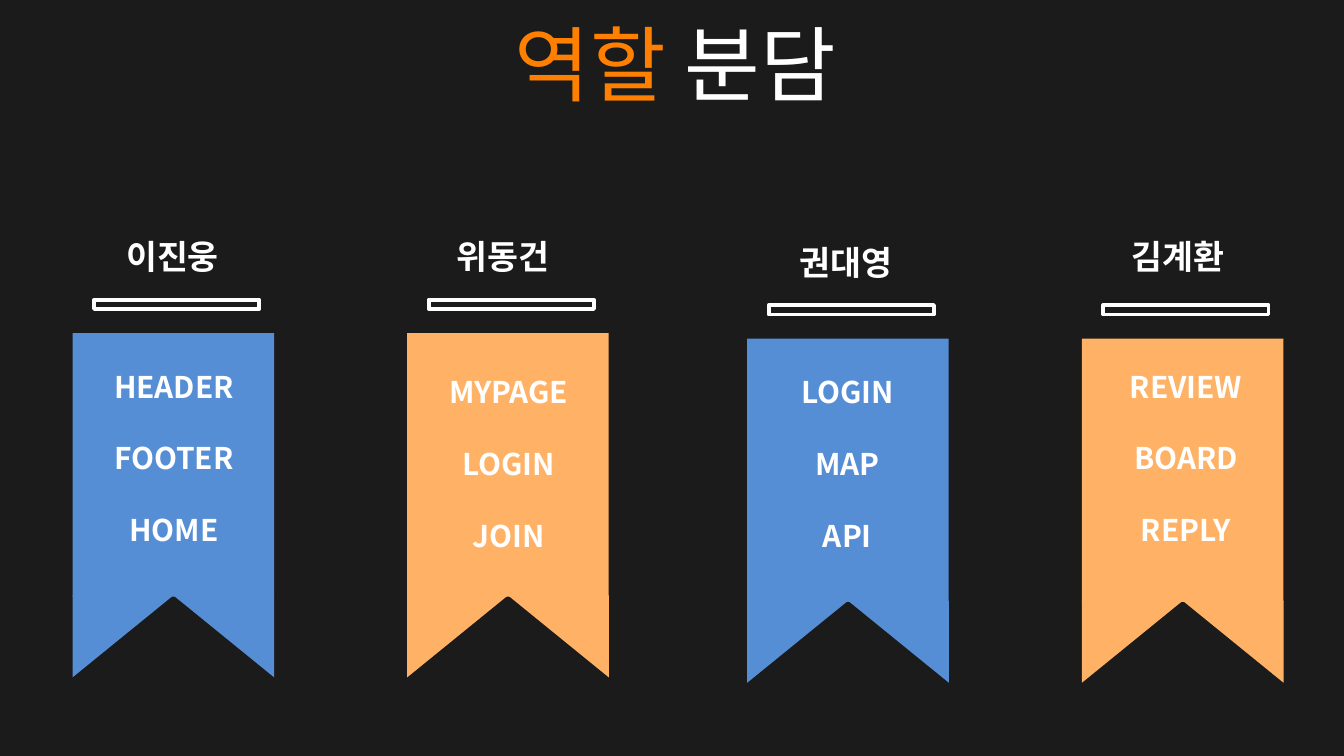
"""Build the role assignment slide with four ribbon columns."""
from pptx import Presentation
from pptx.dml.color import RGBColor
from pptx.enum.shapes import MSO_SHAPE
from pptx.enum.text import MSO_ANCHOR, PP_ALIGN
from pptx.util import Inches, Pt

DARK = RGBColor(0x1B, 0x1B, 0x1B)
WHITE = RGBColor(0xFF, 0xFF, 0xFF)
ORANGE = RGBColor(0xFF, 0x80, 0x01)
BLUE = RGBColor(0x55, 0x8E, 0xD5)
PEACH = RGBColor(0xFF, 0xB2, 0x65)
FONT = "Noto Sans CJK KR"


def add_shape(shapes, kind, x, y, w, h, fill=None, rotation=0):
    sp = shapes.add_shape(kind, Inches(x), Inches(y), Inches(w), Inches(h))
    sp.shadow.inherit = False
    sp.rotation = rotation
    if fill is None:
        sp.fill.background()
        sp.line.color.rgb = WHITE
        sp.line.width = Pt(2)
    else:
        sp.fill.solid()
        sp.fill.fore_color.rgb = fill
        sp.line.fill.background()


def add_run(p, text, size, color=WHITE, bold=True):
    r = p.add_run()
    r.text = text
    r.font.name = FONT
    r.font.size = Pt(size)
    r.font.bold = bold
    r.font.color.rgb = color


prs = Presentation()
prs.slide_width = Inches(10)
prs.slide_height = Inches(10) * 9 // 16
s = prs.slides.add_slide(prs.slide_layouts[6])
s.background.fill.solid()
s.background.fill.fore_color.rgb = DARK

tf = s.shapes.add_textbox(Inches(0.87), Inches(-0.37), Inches(8.31), Inches(1.67)).text_frame
tf.word_wrap = True
tf.vertical_anchor = MSO_ANCHOR.MIDDLE
p = tf.paragraphs[0]
p.alignment = PP_ALIGN.CENTER
add_run(p, "역할 ", 44, ORANGE, False)
add_run(p, "분담", 44, WHITE, False)

# x, y, color, name, name x, name y, tasks, tasks x, tasks y
columns = [
    (0.54, 2.48, BLUE, "이진웅", 0.84, 1.71, ["HEADER", "FOOTER", "HOME"], 0.73, 2.69),
    (3.03, 2.48, PEACH, "위동건", 3.3, 1.71, ["MYPAGE", "LOGIN", "JOIN"], 3.22, 2.73),
    (5.56, 2.52, BLUE, "권대영", 5.85, 1.75, ["LOGIN", "MAP", "API"], 5.74, 2.73),
    (8.05, 2.52, PEACH, "김계환", 8.32, 1.71, ["REVIEW", "BOARD", "REPLY"], 8.26, 2.69),
]
for x, y, color, name, name_x, name_y, tasks, tasks_x, tasks_y in columns:
    shapes = s.shapes.add_group_shape().shapes
    add_shape(shapes, MSO_SHAPE.RIGHT_TRIANGLE, x + 0.75, y + 1.95, 0.75, 0.61, color, 180)
    add_shape(shapes, MSO_SHAPE.RIGHT_TRIANGLE, x + 0.07, y + 1.88, 0.61, 0.75, color, 90)
    add_shape(shapes, MSO_SHAPE.RECTANGLE, x, y, 1.5, 1.96, color)
    add_shape(shapes, MSO_SHAPE.RECTANGLE, x + 0.16, y - 0.25, 1.23, 0.07)

    tf = shapes.add_textbox(Inches(name_x), Inches(name_y), Inches(0.96), Inches(0.4)).text_frame
    tf.word_wrap = False
    add_run(tf.paragraphs[0], name, 18)

    tf = shapes.add_textbox(Inches(tasks_x), Inches(tasks_y), Inches(1.13), Inches(1.45)).text_frame
    tf.word_wrap = False
    for i, task in enumerate(tasks):
        p = tf.add_paragraph() if i else tf.paragraphs[0]
        p.alignment = PP_ALIGN.CENTER
        if i:
            p.space_before = Pt(19.3)
        add_run(p, task, 16)

prs.save("out.pptx")
